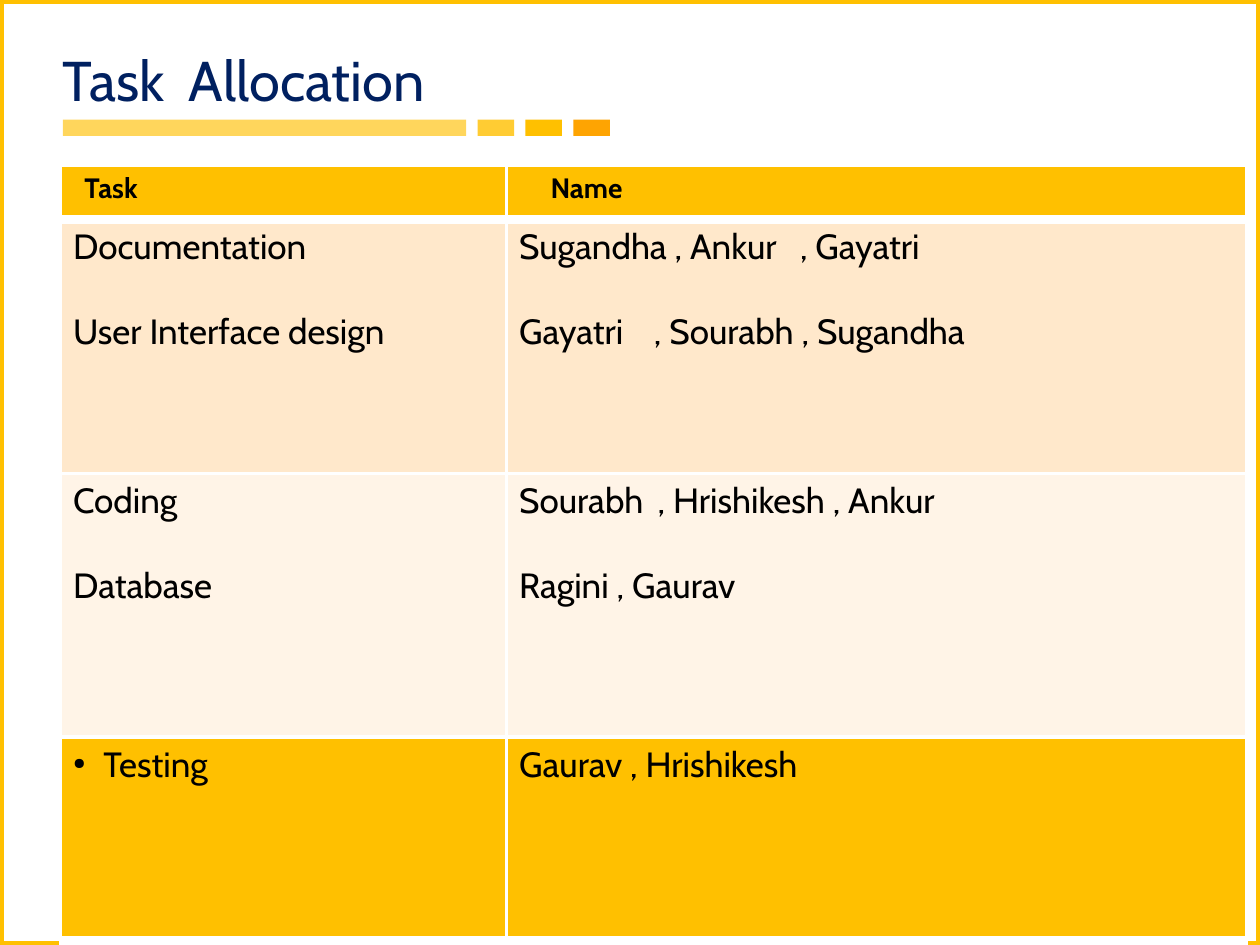
from lxml import etree
from pptx import Presentation
from pptx import util as u
from pptx.dml.color import RGBColor
from pptx.enum import shapes, text
from pptx.oxml.ns import qn

AMBER, WHITE, BLACK, NAVY = "FFC000", "FFFFFF", "000000", "002060"
PEACH, CREAM = "FFE8CB", "FFF4E7"


def add_xml(parent, tag, **attributes):
    return etree.SubElement(parent, qn(tag), {k: str(v) for k, v in attributes.items()})


def write(frame, lines, size=20, color=BLACK, bold=False, tabs=(), gap=0, bullet=None):
    """Fill a text frame; tabs holds one stop in inches (or None) per line."""
    for i, line in enumerate(lines):
        para = frame.paragraphs[0] if i == 0 else frame.add_paragraph()
        para.alignment = text.PP_ALIGN.LEFT
        if i:
            para.space_before = u.Pt(gap)
        props = para._p.get_or_add_pPr()
        if bullet:
            hang = u.Inches(0.24)
            props.set("marL", str(hang))
            props.set("indent", str(-hang))
            add_xml(add_xml(props, "a:buClr"), "a:srgbClr", val=BLACK)
            add_xml(props, "a:buSzPct", val=45000)
            add_xml(props, "a:buChar", char=bullet)
        if i < len(tabs) and tabs[i]:
            add_xml(add_xml(props, "a:tabLst"), "a:tab", pos=u.Inches(tabs[i]), algn="l")
        run = para.add_run()
        run.text = line
        run.font.name = "Cabin"
        run.font.size = u.Pt(size)
        run.font.bold = bold
        run.font.color.rgb = RGBColor.from_string(color)


deck = Presentation()
deck.slide_width, deck.slide_height = u.Inches(10), u.Inches(7.5)
slide = deck.slides.add_slide(deck.slide_layouts[6])
left = u.Inches(0.5)

# Stripe under the title: one long bar, then three short ones
bar_left, bar_gap = left, u.Inches(0.09)
for width, color, opacity in [(3.2, AMBER, 64), (0.29, AMBER, 80),
                              (0.29, AMBER, 100), (0.29, "FEA402", 100)]:
    bar = slide.shapes.add_shape(shapes.MSO_SHAPE.RECTANGLE, bar_left, u.Inches(0.95),
                                 u.Inches(width), u.Inches(0.13))
    bar.shadow.inherit = False
    bar.fill.solid()
    bar.fill.fore_color.rgb = RGBColor.from_string(color)
    bar.line.fill.background()
    if opacity < 100:
        tint = bar._element.spPr.find(qn("a:solidFill"))[0]
        add_xml(tint, "a:alpha", val=opacity * 1000)
    bar_left += bar.width + bar_gap

border = slide.shapes.add_shape(shapes.MSO_SHAPE.RECTANGLE, 0, 0,
                                deck.slide_width, deck.slide_height)
border.shadow.inherit = False
border.fill.background()
border.line.color.rgb = RGBColor.from_string(AMBER)
border.line.width = u.Pt(4.5)

title = slide.shapes.add_textbox(left, u.Inches(0.25), u.Inches(9), u.Inches(0.75)).text_frame
title.word_wrap = True
title.vertical_anchor = text.MSO_ANCHOR.MIDDLE
title.margin_left = title.margin_right = title.margin_top = title.margin_bottom = 0
write(title, ["Task\tAllocation"], size=32, color=NAVY, tabs=[1])

# Each row: height, fill, tasks, people, tab stops of the people column
rows = [
    (0.43, AMBER, ["Task"], ["Name"], []),
    (2.02, PEACH, ["Documentation", "User Interface design"],
     ["Sugandha , Ankur\t, Gayatri", "Gayatri\t, Sourabh , Sugandha"], [2.23, 1.07]),
    (2.09, CREAM, ["Coding", "Database"],
     ["Sourabh\t, Hrishikesh , Ankur", "Ragini , Gaurav"], [1.1]),
    (1.62, AMBER, ["Testing"], ["Gaurav , Hrishikesh"], []),
]
columns = [3.54, 5.87]
header_indents = [0.09, 0.25]
allocation = slide.shapes.add_table(len(rows), len(columns), u.Inches(0.48), u.Inches(1.31),
                                    u.Inches(sum(columns)),
                                    u.Inches(sum(row[0] for row in rows))).table
allocation.first_row = allocation.horz_banding = False
for column, width in zip(allocation.columns, columns):
    column.width = u.Inches(width)

for r, (height, fill, tasks, people, stops) in enumerate(rows):
    allocation.rows[r].height = u.Inches(height)
    is_header, is_last = r == 0, r == len(rows) - 1
    edges = {"a:lnL": 1.98, "a:lnR": 1.98,
             "a:lnT": 6 if r == 1 else 1.98,
             "a:lnB": 6 if is_header or is_last else 1.98}
    for c, lines in enumerate([tasks, people]):
        cell = allocation.cell(r, c)
        cell.margin_left = u.Inches(0.1 + (header_indents[c] if is_header else 0))
        cell.margin_right = u.Inches(0.1)
        cell.margin_top = cell.margin_bottom = u.Inches(0.05)
        cell_props = cell._tc.get_or_add_tcPr()
        for edge, points in edges.items():
            line = add_xml(cell_props, edge, w=u.Pt(points))
            add_xml(add_xml(line, "a:solidFill"), "a:srgbClr", val=WHITE)
        cell.fill.solid()
        cell.fill.fore_color.rgb = RGBColor.from_string(fill)
        write(cell.text_frame, lines, size=16 if is_header else 20, bold=is_header,
              tabs=stops if c else (), gap=24.3,
              bullet="●" if is_last and c == 0 else None)

deck.save("out.pptx")
